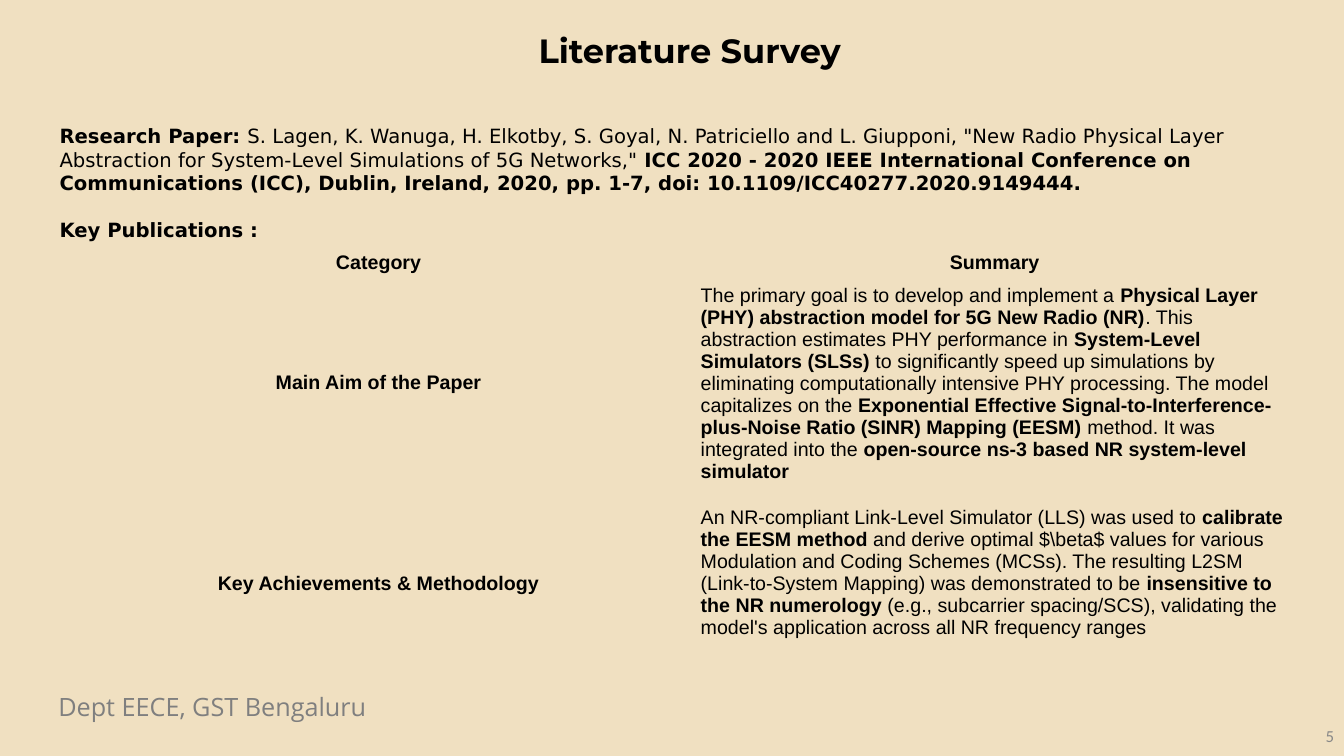
from lxml.etree import SubElement
from pptx import Presentation
from pptx.dml.color import RGBColor
from pptx.enum.text import MSO_ANCHOR, MSO_AUTO_SIZE, PP_ALIGN
from pptx.oxml.ns import qn
from pptx.util import Inches, Pt

COLORS = {"background": "F0E0C1", "text": "000000", "footer": "7F7F7F", "number": "888888"}
FORMATS = {
    "title": {"name": "Montserrat", "size": Pt(24), "bold": True},
    "body": {"name": "DejaVu Sans", "size": Pt(14)},
    "table": {"name": "Arial", "size": Pt(14)},
    "footer": {"name": "Open Sans", "size": Pt(18)},
    "number": {"name": "Calibri", "size": Pt(12)},
}
NO_STYLE = "{2D5ABB26-0587-4C30-8999-92F81FD0307C}"
CELL_MARGIN = 0.05
TABLE_LINE = 0.218

CITATION = [
    ("Research Paper: ", True),
    ("S. Lagen, K. Wanuga, H. Elkotby, S. Goyal, N. Patriciello and L. Giupponi, "
     "\"New Radio Physical Layer Abstraction for System-Level Simulations of 5G Networks,\" ", False),
    ("ICC 2020 - 2020 IEEE International Conference on Communications (ICC), "
     "Dublin, Ireland, 2020, pp. 1-7, doi: 10.1109/ICC40277.2020.9149444.", True),
]
HEADERS = ["Category", "Summary"]
AIM = [
    ("The primary goal is to develop and implement a ", False),
    ("Physical Layer (PHY) abstraction model for 5G New Radio (NR)", True),
    (". This abstraction estimates PHY performance in ", False),
    ("System-Level Simulators (SLSs)", True),
    (" to significantly speed up simulations by eliminating computationally intensive "
     "PHY processing. The model capitalizes on the ", False),
    ("Exponential Effective Signal-to-Interference-plus-Noise Ratio (SINR) Mapping (EESM)", True),
    (" method. It was integrated into the ", False),
    ("open-source ns-3 based NR system-level simulator", True),
]
ACHIEVEMENTS = [
    ("An NR-compliant Link-Level Simulator (LLS) was used to ", False),
    ("calibrate the EESM method", True),
    (" and derive optimal $\\beta$ values for various Modulation and Coding Schemes (MCSs). "
     "The resulting L2SM (Link-to-System Mapping) was demonstrated to be ", False),
    ("insensitive to the NR numerology", True),
    (" (e.g., subcarrier spacing/SCS), validating the model's application "
     "across all NR frequency ranges", False),
]
SURVEY_ROWS = [
    ("Main Aim of the Paper", 4, AIM),
    ("Key Achievements & Methodology", 3, ACHIEVEMENTS),
]


def set_values(target, values):
    for name, value in values.items():
        setattr(target, name, value)


def write_runs(paragraph, runs, style, color="text", alignment=PP_ALIGN.LEFT):
    paragraph.alignment = alignment
    for text, bold in runs:
        run = paragraph.add_run()
        run.text = text
        set_values(run.font, {"bold": bold, **FORMATS[style]})
        run.font.color.rgb = RGBColor.from_string(COLORS[color])


def place(shape, box, anchor=MSO_ANCHOR.TOP):
    names = ("left", "top", "width", "height")
    set_values(shape, dict(zip(names, map(Inches, box))))
    set_values(shape.text_frame, {
        "word_wrap": True, "auto_size": MSO_AUTO_SIZE.NONE, "vertical_anchor": anchor,
    })


def add_title(slide, box):
    title = slide.shapes.title
    place(title, box)
    write_runs(title.text_frame.paragraphs[0], [("Literature Survey", True)], "title",
               alignment=PP_ALIGN.CENTER)


def add_citation(slide, box):
    body = slide.placeholders[1]
    place(body, box)
    frame = body.text_frame
    frame.margin_top = Inches(0.28)
    paragraphs = [(CITATION, Pt(0)), ([("Key Publications :", True)], Pt(16.5))]
    for index, (runs, gap) in enumerate(paragraphs):
        paragraph = frame.add_paragraph() if index else frame.paragraphs[0]
        write_runs(paragraph, runs, "body")
        paragraph.space_before = gap
        properties = paragraph._p.get_or_add_pPr()
        properties.set("marL", "0")
        properties.set("indent", "0")
        SubElement(properties, qn("a:buNone"))


def write_cell(cell, runs, alignment, lines_above=0):
    cell.fill.background()
    set_values(cell, {
        "margin_top": Inches(CELL_MARGIN + lines_above * TABLE_LINE),
        "margin_bottom": Inches(CELL_MARGIN),
        "vertical_anchor": MSO_ANCHOR.TOP,
    })
    write_runs(cell.text_frame.paragraphs[0], runs, "table", alignment=alignment)


def add_survey_table(slide, box):
    frame = slide.shapes.add_table(len(SURVEY_ROWS) + 1, len(HEADERS), *map(Inches, box))
    table = frame.table
    set_values(table, {"first_row": False, "horz_banding": False})
    table._tbl.tblPr.find(qn("a:tableStyleId")).text = NO_STYLE
    for column, width in zip(table.columns, (6.19, 6.03)):
        column.width = Inches(width)
    for row, height in zip(table.rows, (0.32, 2.21, 1.54)):
        row.height = Inches(height)
    for column, header in enumerate(HEADERS):
        write_cell(table.cell(0, column), [(header, True)], PP_ALIGN.CENTER)
    for row, (category, lines_above, summary) in enumerate(SURVEY_ROWS, start=1):
        write_cell(table.cell(row, 0), [(category, True)], PP_ALIGN.CENTER, lines_above)
        write_cell(table.cell(row, 1), summary, PP_ALIGN.LEFT)


def add_label(slide, box, text, style, alignment, anchor):
    label = slide.shapes.add_textbox(*map(Inches, box))
    place(label, box, anchor)
    write_runs(label.text_frame.paragraphs[0], [(text, False)], style, style, alignment)


def build_survey_slide(presentation):
    slide = presentation.slides.add_slide(presentation.slide_layouts[1])
    slide.background.fill.solid()
    slide.background.fill.fore_color.rgb = RGBColor.from_string(COLORS["background"])
    add_label(slide, (0.48, 6.81, 5.24, 0.4), "Dept EECE, GST Bengaluru", "footer",
              PP_ALIGN.LEFT, MSO_ANCHOR.TOP)
    add_label(slide, (10.33, 7.1, 3, 0.4), "5", "number", PP_ALIGN.RIGHT, MSO_ANCHOR.MIDDLE)
    add_title(slide, (1.09, 0.25, 11.5, 0.54))
    add_citation(slide, (0.49, 0.95, 12.39, 6.27))
    add_survey_table(slide, (0.66, 2.45, 12.22, 4.07))


def main():
    presentation = Presentation()
    set_values(presentation, {"slide_width": Inches(13.33), "slide_height": Inches(7.5)})
    build_survey_slide(presentation)
    presentation.save("out.pptx")


if __name__ == "__main__":
    main()
